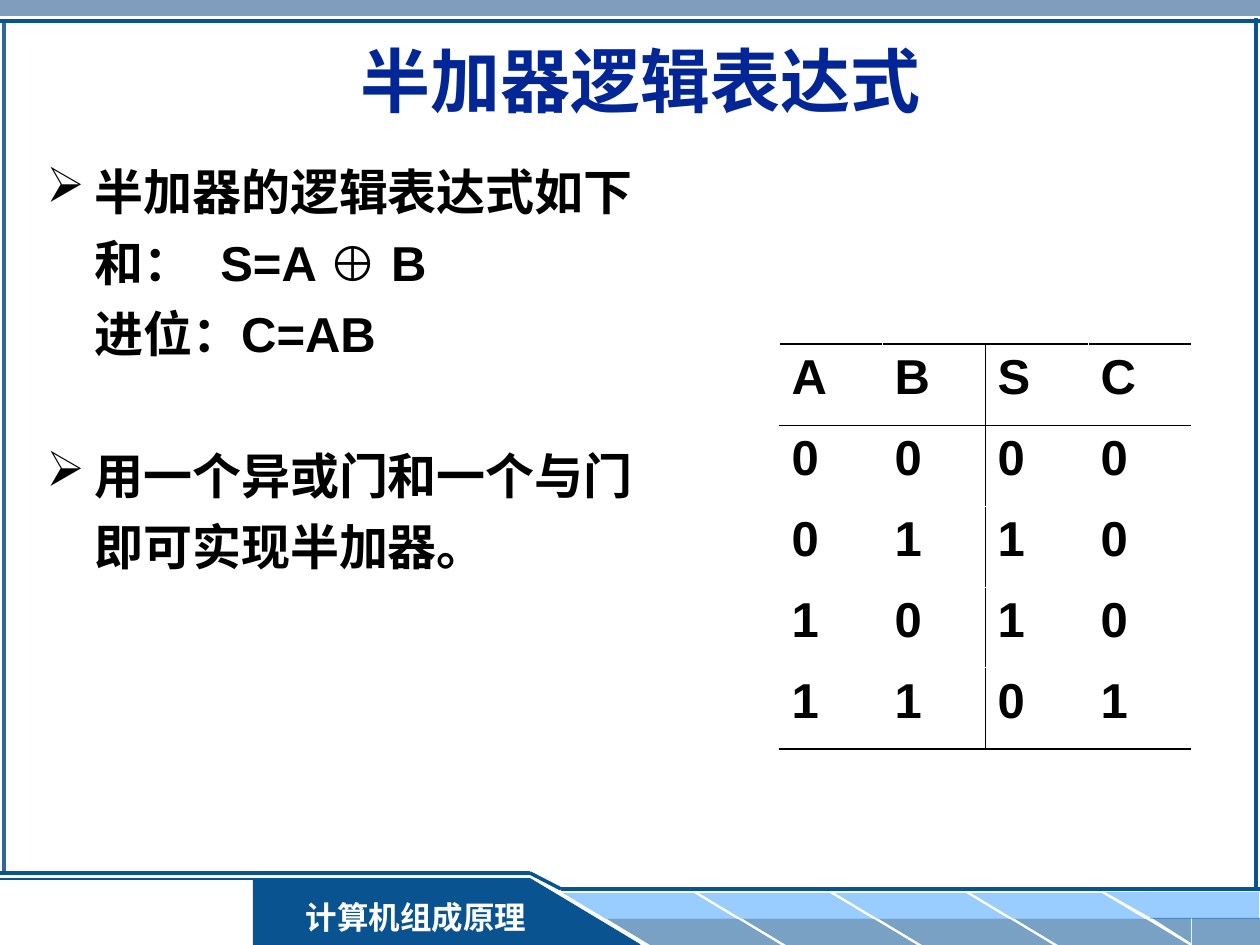
from typing import NamedTuple

import pptx
import pptx.dml.color
import pptx.enum.shapes
import pptx.enum.text
import pptx.oxml
import pptx.oxml.ns
import pptx.util
from lxml import etree

EMU_PER_PX = 914400 / 126
NAVY, STEEL, SKY = "095391", "336699", "99CCFF"
BLACK, WHITE, TITLE_BLUE = "000000", "FFFFFF", "032697"
MSO = pptx.enum.shapes.MSO_SHAPE
CENTER = pptx.enum.text.PP_ALIGN.CENTER
MIDDLE = pptx.enum.text.MSO_ANCHOR.MIDDLE
THIN, THICK = 0.45, 1.08


class Block(NamedTuple):
    kind: MSO
    box: tuple[int, int, int, int]
    color: str
    opacity: int = 100
    flips: str = ""
    skew: float | None = None


class Rule(NamedTuple):
    start: tuple[int, int]
    end: tuple[int, int]
    color: str = NAVY
    width: float = 2


class Line(NamedTuple):
    text: str
    bullet: bool = False
    space_before: float = 7
    tab: int = 0


TILE_PITCH = 136
TILES = [
    Block(MSO.PARALLELOGRAM, (x + TILE_PITCH * i, y, 174, 26), color, opacity, "H", 1.66)
    for i in range(4)
    for x, y, color, opacity in ((563, 893, SKY, 100), (607, 919, NAVY, 54))
]
BLOCKS = [
    Block(MSO.RECTANGLE, (0, 0, 1260, 16), STEEL, 63),
    Block(MSO.RECTANGLE, (253, 879, 277, 66), NAVY),
    *TILES,
    Block(MSO.RECTANGLE, (1150, 892, 109, 27), SKY),
    Block(MSO.RIGHT_TRIANGLE, (1105, 892, 48, 27), SKY, flips="HV"),
    Block(MSO.RECTANGLE, (1192, 918, 68, 27), NAVY, 54),
    Block(MSO.RIGHT_TRIANGLE, (1152, 918, 39, 25), NAVY, 54, "HV"),
    Block(MSO.RIGHT_TRIANGLE, (529, 879, 110, 66), NAVY),
]
RULES = [
    Rule((4, 19), (4, 873), STEEL),
    Rule((640, 945), (530, 879), width=1),
    Rule((530, 879), (0, 879), width=1.5),
    Rule((0, 873), (530, 873)),
    Rule((530, 873), (561, 889)),
    Rule((561, 889), (1260, 889)),
    Rule((0, 21), (1260, 21)),
    Rule((1256, 18), (1256, 891)),
]
BODY = [
    Line("半加器的逻辑表达式如下", bullet=True),
    Line("和：\tS=A ⊕ B", tab=200),
    Line("进位：C=AB"),
    Line("用一个异或门和一个与门", bullet=True, space_before=47.5),
    Line("即可实现半加器。"),
]
TRUTH_TABLE = ["ABSC", "0000", "0110", "1010", "1101"]


def px(n: float) -> int:
    return round(n * EMU_PER_PX)


def rgb(color: str) -> pptx.dml.color.RGBColor:
    return pptx.dml.color.RGBColor.from_string(color)


def add_xml(parent, tag: str, **attributes):
    return etree.SubElement(parent, pptx.oxml.ns.qn(tag), attributes)


def style_font(p, size: float, color: str, name: str = "Arial") -> None:
    p.font.size = pptx.util.Pt(size)
    p.font.name = name
    p.font.bold = True
    p.font.color.rgb = rgb(color)


def draw_block(s, block: Block) -> None:
    sp = s.shapes.add_shape(block.kind, *map(px, block.box))
    sp.shadow.inherit = False
    sp.line.fill.background()
    sp.fill.solid()
    sp.fill.fore_color.rgb = rgb(block.color)
    if block.opacity < 100:
        color = sp.fill._xPr.find(".//" + pptx.oxml.ns.qn("a:srgbClr"))
        add_xml(color, "a:alpha", val=str(block.opacity * 1000))
    for axis in block.flips:
        sp.element.spPr.xfrm.set("flip" + axis, "1")
    if block.skew is not None:
        sp.adjustments[0] = block.skew


def draw_rule(s, rule: Rule) -> None:
    line = s.shapes.add_connector(
        pptx.enum.shapes.MSO_CONNECTOR.STRAIGHT, *map(px, rule.start + rule.end)
    )
    line.line.color.rgb = rgb(rule.color)
    line.line.width = pptx.util.Pt(rule.width)
    add_xml(line.element.spPr, "a:effectLst")


def add_text_frame(s, *box: int):
    tf = s.shapes.add_textbox(*map(px, box)).text_frame
    tf.word_wrap = True
    return tf


def draw_heading(s, text: str, box: tuple[int, int, int, int], size: float,
                 color: str, font: str) -> None:
    tf = add_text_frame(s, *box)
    tf.vertical_anchor = MIDDLE
    p = tf.paragraphs[0]
    p.text = text
    p.alignment = CENTER
    style_font(p, size, color, font)


def draw_body(s, lines: list[Line]) -> None:
    tf = add_text_frame(s, 34, 155, 1201, 674)
    for i, line in enumerate(lines):
        p = tf.paragraphs[0] if i == 0 else tf.add_paragraph()
        p.text = line.text
        p.space_before = pptx.util.Pt(line.space_before)
        style_font(p, 28, BLACK)
        pPr = p._p.get_or_add_pPr()
        pPr.set("marL", str(px(48)))
        pPr.set("indent", str(px(-48 if line.bullet else 0)))
        # Bullet and tab elements must precede the default run properties.
        extras = []
        if line.bullet:
            add_xml(add_xml(pPr, "a:buClr"), "a:srgbClr", val=BLACK)
            add_xml(pPr, "a:buChar", char="➢")
            extras = pPr[-2:]
        elif line.tab:
            stops = add_xml(pPr, "a:tabLst")
            add_xml(stops, "a:tab", pos=str(px(line.tab)), algn="l")
            extras = [stops]
        for extra in extras:
            pPr.find(pptx.oxml.ns.qn("a:defRPr")).addprevious(extra)


def set_borders(cell, borders: dict[str, tuple[str, float]]) -> None:
    tcPr = cell._tc.get_or_add_tcPr()
    for i, (side, (color, width)) in enumerate(borders.items()):
        ln = add_xml(tcPr, "a:ln" + side, w=str(pptx.util.Pt(width)))
        add_xml(add_xml(ln, "a:solidFill"), "a:srgbClr", val=color)
        tcPr.insert(i, ln)


def draw_truth_table(s, rows: list[str]) -> None:
    count, width = len(rows), len(rows[0])
    table = s.shapes.add_table(
        count, width, px(779), px(344), px(103 * width), px(81 * count)
    ).table
    table.first_row = table.horz_banding = False
    plain, inner, outer = (WHITE, THIN), (BLACK, THIN), (BLACK, THICK)
    row_edges = [outer, inner] + [plain] * (count - 2) + [outer]
    column_edges = [plain, plain, inner, plain, plain]
    for r, values in enumerate(rows):
        for c, value in enumerate(values):
            cell = table.cell(r, c)
            cell.fill.background()
            p = cell.text_frame.paragraphs[0]
            p.text = value
            p.space_before = pptx.util.Pt(7)
            style_font(p, 28, BLACK)
            set_borders(cell, {"L": column_edges[c], "R": column_edges[c + 1],
                               "T": row_edges[r], "B": row_edges[r + 1]})


def main() -> None:
    prs = pptx.Presentation()
    prs.slide_width, prs.slide_height = px(1260), px(945)
    s = prs.slides.add_slide(prs.slide_layouts[6])
    for block in BLOCKS:
        draw_block(s, block)
    for rule in RULES:
        draw_rule(s, rule)
    draw_heading(s, "计算机组成原理", (287, 892, 258, 50), 18, WHITE, "Times New Roman")
    draw_heading(s, "半加器逻辑表达式", (44, 35, 1193, 89), 40, TITLE_BLUE, "Arial")
    draw_body(s, BODY)
    draw_truth_table(s, TRUTH_TABLE)
    prs.save("out.pptx")


if __name__ == "__main__":
    main()
